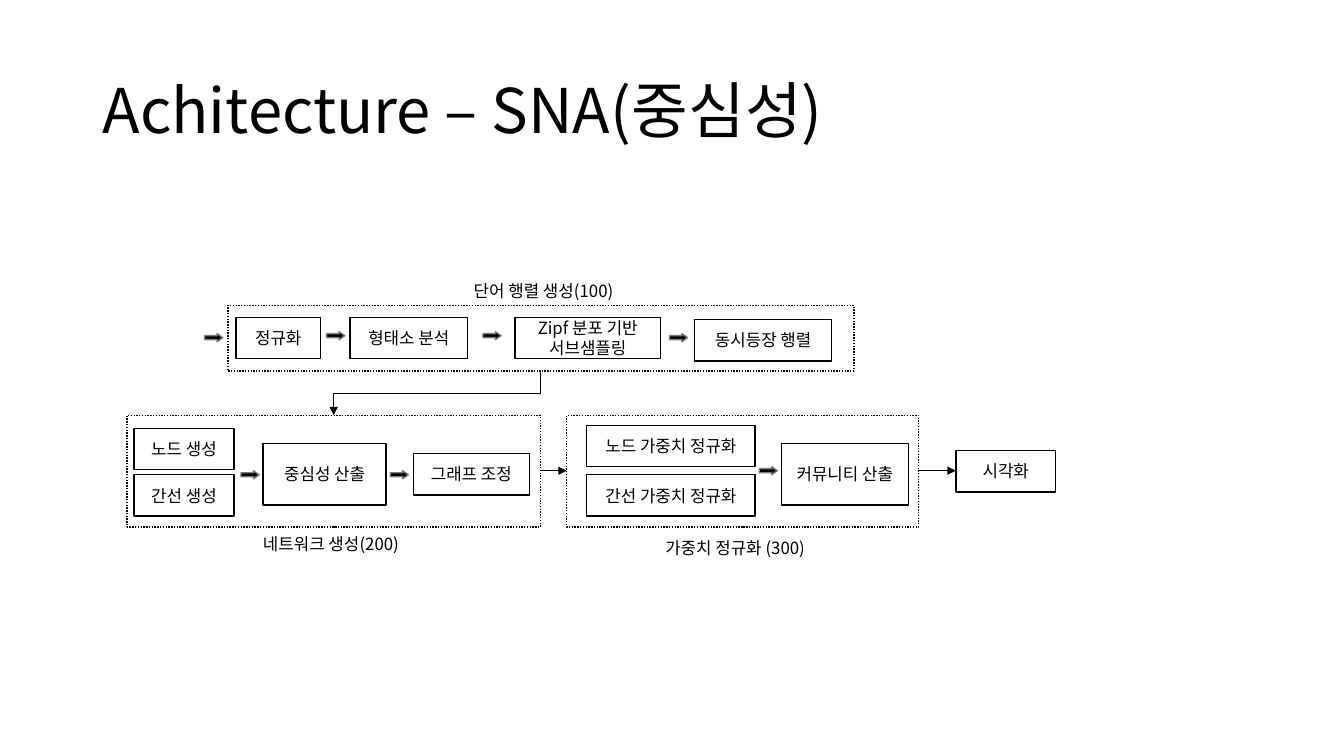
from lxml import etree
from pptx import Presentation, util as u
from pptx.dml.color import RGBColor
from pptx.enum import dml, shapes, text
from pptx.oxml.ns import qn

FONT = "Noto Sans CJK KR"
COLORS = {"ink": "000000", "paper": "FFFFFF", "arrow_edge": "7A7A7A"}
TITLE = "Achitecture – SNA(중심성)"
STEP_H = 0.41

# left, top, width, height
STAGES = [(2.26, 3.03, 6.21, 0.65), (1.26, 4.12, 4.1, 1.11), (5.62, 4.12, 3.49, 1.11)]
# label, left, top, width
STAGE_LABELS = [
    ("단어 행렬 생성(100)", 4.6, 2.74, 1.71),
    ("네트워크 생성(200)", 2.51, 5.25, 1.65),
    ("가중치 정규화 (300)", 6.5, 5.29, 1.71),
]
# label, left, top, width, height
STEPS = [
    ("정규화", 2.34, 3.15, 0.84, STEP_H),
    ("형태소 분석", 3.47, 3.15, 1.17, STEP_H),
    ("Zipf 분포 기반\n서브샘플링", 5.11, 3.15, 1.44, STEP_H),
    ("동시등장 행렬", 6.89, 3.17, 1.36, STEP_H),
    ("노드 생성", 1.33, 4.25, 0.99, STEP_H),
    ("간선 생성", 1.33, 4.71, 0.99, STEP_H),
    ("중심성 산출", 2.61, 4.4, 1.22, 0.61),
    ("그래프 조정", 4.1, 4.5, 1.15, STEP_H),
    ("노드 가중치 정규화", 5.82, 4.22, 1.67, STEP_H),
    ("간선 가중치 정규화", 5.82, 4.71, 1.67, STEP_H),
    ("커뮤니티 산출", 7.75, 4.4, 1.26, 0.61),
    ("시각화", 9.48, 4.47, 0.99, STEP_H),
]
STEP_ARROWS = [(2.03, 3.31), (3.24, 3.29), (4.79, 3.29), (6.64, 3.31),
               (2.39, 4.67), (3.87, 4.67), (7.53, 4.63)]
STAGE_LINKS = [((5.36, 4.67), (5.62, 4.67)), ((9.12, 4.67), (9.48, 4.67))]
DESCENT = ((5.36, 3.68), (3.31, 4.12))

prs = Presentation()
prs.slide_width, prs.slide_height = u.Inches(13.33), u.Inches(7.5)
slide = prs.slides.add_slide(prs.slide_layouts[6])


def color(name):
    return RGBColor.from_string(COLORS[name])


def inches(values):
    return [u.Inches(value) for value in values]


def write(frame, words, size, align, **frame_format):
    for name, value in frame_format.items():
        setattr(frame, name, value)
    frame.text = words
    for paragraph in frame.paragraphs:
        paragraph.alignment = align
        for run in paragraph.runs:
            run.font.name, run.font.size = FONT, u.Pt(size)
            run.font.color.rgb = color("ink")
            etree.SubElement(run.font._element, qn("a:ea"), typeface=FONT)


def add_block(kind, place, fill="paper", edge="ink"):
    block = slide.shapes.add_shape(kind, *inches(place))
    block.shadow.inherit = False
    block.fill.solid()
    block.fill.fore_color.rgb = color(fill)
    block.line.color.rgb = color(edge)
    block.line.width = u.Pt(1)
    return block


def add_link(kind, start, end):
    link = slide.shapes.add_connector(kind, *inches(start + end))
    link.line.color.rgb = color("ink")
    link.line.width = u.Pt(0.5)
    etree.SubElement(link.line._get_or_add_ln(), qn("a:tailEnd"), type="triangle")
    etree.SubElement(link._element.spPr, qn("a:effectLst"))
    return link


def add_descent(start, end):
    """Elbow that leaves downwards: a sideways elbow turned by 90 degrees."""
    mid_x, mid_y = (start[0] + end[0]) / 2, (start[1] + end[1]) / 2
    half_w, half_h = (end[1] - start[1]) / 2, (start[0] - end[0]) / 2
    link = add_link(shapes.MSO_CONNECTOR.ELBOW,
                    (mid_x - half_w, mid_y - half_h), (mid_x + half_w, mid_y + half_h))
    link._element.spPr.find(qn("a:xfrm")).set("rot", str(90 * 60000))


title = slide.shapes.add_textbox(*inches((0.92, 0.4, 11.5, 1.45))).text_frame
write(title, TITLE, 44, text.PP_ALIGN.LEFT, word_wrap=True,
      vertical_anchor=text.MSO_ANCHOR.MIDDLE)
title.paragraphs[0].line_spacing = 0.9

for place in STAGES:
    stage = add_block(shapes.MSO_SHAPE.RECTANGLE, place)
    stage.line.dash_style = dml.MSO_LINE.ROUND_DOT

for label, left, top, width in STAGE_LABELS:
    caption = slide.shapes.add_textbox(*inches((left, top, width, 0.3)))
    write(caption.text_frame, label, 12, text.PP_ALIGN.LEFT, word_wrap=False,
          auto_size=text.MSO_AUTO_SIZE.SHAPE_TO_FIT_TEXT)

for label, *place in STEPS:
    step = add_block(shapes.MSO_SHAPE.RECTANGLE, place)
    write(step.text_frame, label, 12, text.PP_ALIGN.CENTER, word_wrap=True,
          vertical_anchor=text.MSO_ANCHOR.MIDDLE)

for left, top in STEP_ARROWS:
    arrow = add_block(shapes.MSO_SHAPE.RIGHT_ARROW, (left, top, 0.18, 0.08),
                      "ink", "arrow_edge")
    arrow.adjustments[1] = 0.71

for start, end in STAGE_LINKS:
    add_link(shapes.MSO_CONNECTOR.STRAIGHT, start, end)
add_descent(*DESCENT)

prs.save("out.pptx")
